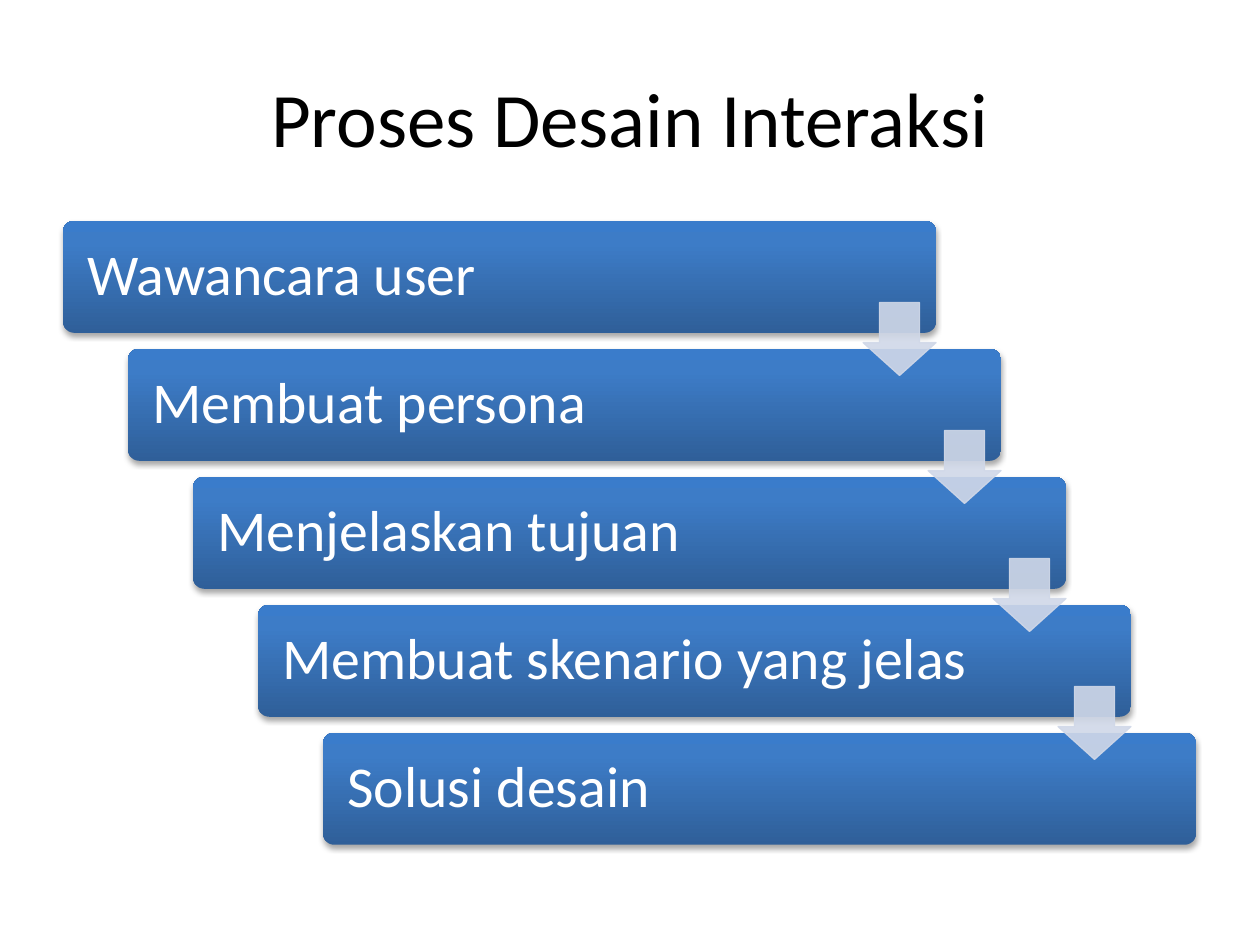
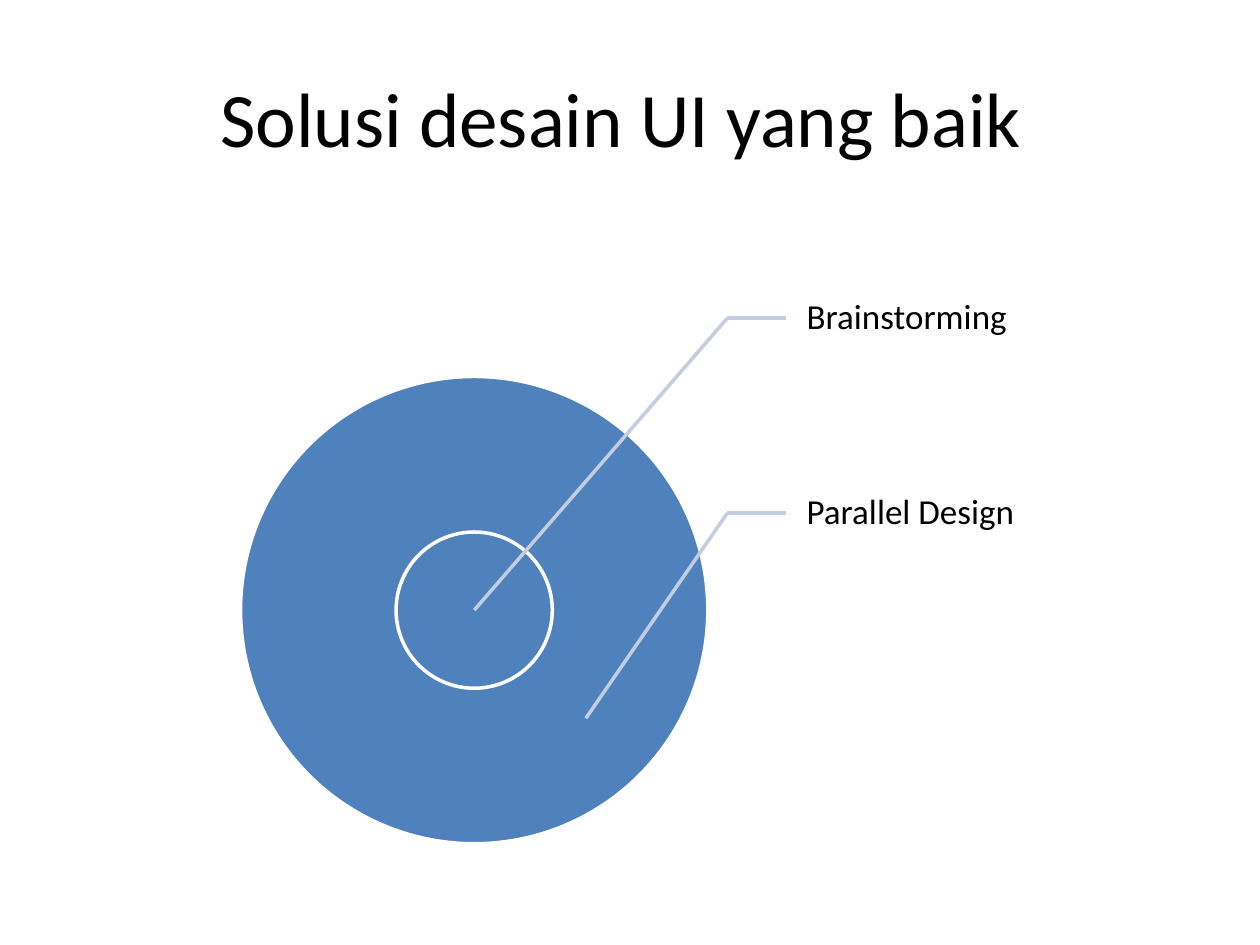
from copy import deepcopy
from pptx import Presentation
from pptx import util as u
from pptx.dml.color import RGBColor
from pptx.enum import shapes, text
from pptx.oxml.ns import qn
from lxml import etree

FONT = "Calibri"
COLORS = {
    "text": "000000", "white": "FFFFFF", "circle": "4F81BD",
    "leader": "C2CDE1", "arrow": "D0D8E8",
}
STEP_GRADIENT = [(0, "2F5F99"), (0.8, "3D7CC7"), (1, "3A7CCB")]

PROCESS_TITLE = "Proses Desain Interaksi"
STEPS = ["Wawancara user", "Membuat persona", "Menjelaskan tujuan",
         "Membuat skenario yang jelas", "Solusi desain"]

SOLUTION_TITLE = "Solusi desain UI yang baik "
# label, point inside the circles that it names (cm)
TECHNIQUES = [("Brainstorming", (9.56, 12.3)),
              ("Parallel Design", (11.81, 14.48))]

# Lengths in cm
CONTENT_TOP = 4.45
STEP_LEFT, STEP_W, STEP_H = 1.27, 17.6, 2.26
STEP_DX, STEP_DY = 1.31, 2.58
ARROW_SIZE, ARROW_DROP = 1.47, 1.65
CIRCLE_CENTER, DIAMETERS = (9.56, 12.3), (9.42, 3.15)
LABEL_LEFT, LABEL_W, LABEL_H = 15.85, 4.72, 3.93
ELBOW_X = 14.66


def rgb(name):
    return RGBColor.from_string(COLORS[name])


def write(sp, content, size, color, align, insets=None, spacing=None):
    """Insets are left, top, right, bottom in cm."""
    tf = sp.text_frame
    tf.word_wrap = True
    tf.vertical_anchor = text.MSO_ANCHOR.MIDDLE
    if insets:
        (tf.margin_left, tf.margin_top,
         tf.margin_right, tf.margin_bottom) = map(u.Cm, insets)
    p = tf.paragraphs[0]
    p.alignment = align
    if spacing:
        p.line_spacing = spacing
    r = p.add_run()
    r.text = content
    r.font.name, r.font.size = FONT, u.Pt(size)
    r.font.color.rgb = rgb(color)


def add_titled_slide(prs, title):
    s = prs.slides.add_slide(prs.slide_layouts[5])
    sp = s.shapes.title
    sp.left, sp.top, sp.width, sp.height = map(u.Cm, (1.27, 0.76, 22.86, 3.18))
    write(sp, title, 44, "text", text.PP_ALIGN.CENTER)
    return s


def add_shape(s, kind, left, top, width, height):
    sp = s.shapes.add_shape(kind, *map(u.Cm, (left, top, width, height)))
    sp.shadow.inherit = False
    return sp


def paint(sp, fill, line, line_width):
    sp.fill.solid()
    sp.fill.fore_color.rgb = rgb(fill)
    sp.line.color.rgb = rgb(line)
    sp.line.width = u.Pt(line_width)


def set_alpha(parent, percent):
    """Apply opacity to every RGB colour below parent."""
    for clr in parent.iter(qn("a:srgbClr")):
        etree.SubElement(clr, qn("a:alpha"), val=str(percent * 1000))


def shade_step(sp):
    """Upward three-stop gradient and a soft shadow below."""
    sp.line.fill.background()
    sp.fill.gradient()
    sp.fill.gradient_angle = 90
    stops = sp._element.spPr.find(".//" + qn("a:gsLst"))
    stops.append(deepcopy(stops[0]))
    for stop, (position, color) in zip(sp.fill.gradient_stops, STEP_GRADIENT):
        stop.position = position
        stop.color.rgb = RGBColor.from_string(color)
    effects = sp._element.spPr.find(qn("a:effectLst"))
    shadow = etree.SubElement(effects, qn("a:outerShdw"), blurRad="40000",
                              dist="23000", dir="5400000", rotWithShape="0")
    etree.SubElement(shadow, qn("a:srgbClr"), val=COLORS["text"])
    set_alpha(shadow, 35)


def add_leader(s, start, end):
    cx = s.shapes.add_connector(shapes.MSO_CONNECTOR.STRAIGHT,
                                *map(u.Cm, start + end))
    cx.line.color.rgb = rgb("leader")
    cx.line.width = u.Pt(2)
    etree.SubElement(cx._element.spPr, qn("a:effectLst"))
    return cx


def build_process(prs):
    s = add_titled_slide(prs, PROCESS_TITLE)
    corners = [(STEP_LEFT + i * STEP_DX, CONTENT_TOP + i * STEP_DY)
               for i in range(len(STEPS))]
    for step, (left, top) in zip(STEPS, corners):
        sp = add_shape(s, shapes.MSO_SHAPE.ROUNDED_RECTANGLE,
                       left, top, STEP_W, STEP_H)
        sp.adjustments[0] = 0.1
        shade_step(sp)
        write(sp, step, 33, "white", text.PP_ALIGN.LEFT,
              (0.43, 0.36, 0.43, 0.36), 0.9)
    for left, top in corners[:-1]:
        sp = add_shape(s, shapes.MSO_SHAPE.DOWN_ARROW,
                       left + STEP_W - ARROW_SIZE, top + ARROW_DROP,
                       ARROW_SIZE, ARROW_SIZE)
        sp.adjustments[0], sp.adjustments[1] = 0.55, 0.45
        paint(sp, "arrow", "arrow", 0.75)
        set_alpha(sp._element.spPr, 90)


def build_solution(prs):
    s = add_titled_slide(prs, SOLUTION_TITLE)
    x, y = CIRCLE_CENTER
    for d in DIAMETERS:
        sp = add_shape(s, shapes.MSO_SHAPE.OVAL, x - d / 2, y - d / 2, d, d)
        paint(sp, "circle", "white", 2)
    for i, (name, target) in enumerate(TECHNIQUES):
        top = CONTENT_TOP + i * LABEL_H
        label = s.shapes.add_textbox(
            *map(u.Cm, (LABEL_LEFT, top, LABEL_W, LABEL_H)))
        write(label, name, 20, "text", text.PP_ALIGN.LEFT,
              (0.41, 0.08, 0.08, 0.08), 0.9)
        elbow = (ELBOW_X, top + LABEL_H / 2)
        add_leader(s, elbow, (LABEL_LEFT, elbow[1])).end_connect(label, 1)
        add_leader(s, elbow, target)


def main():
    prs = Presentation()
    prs.slide_width, prs.slide_height = u.Cm(25.4), u.Cm(19.05)
    build_process(prs)
    build_solution(prs)
    prs.save("out.pptx")


if __name__ == "__main__":
    main()
